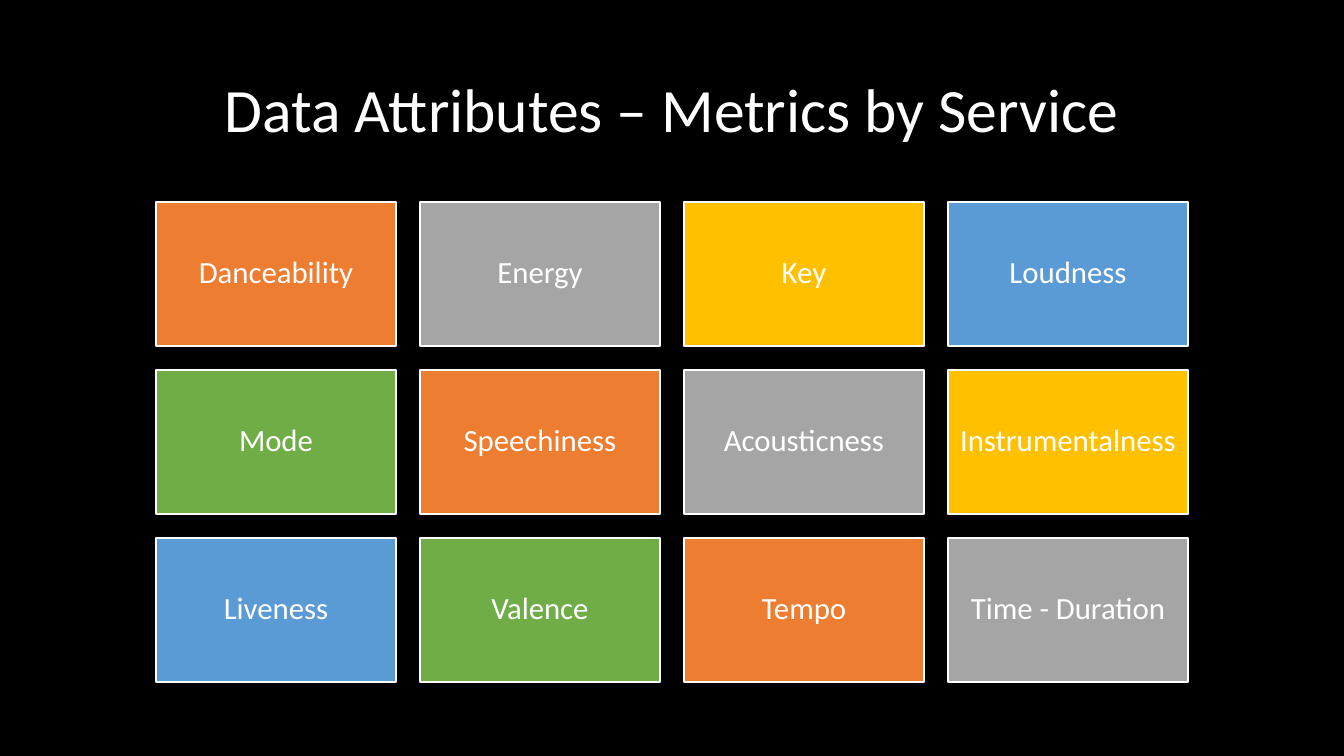
from dataclasses import dataclass

from pptx import Presentation
from pptx.dml.color import RGBColor
from pptx.enum.shapes import MSO_SHAPE
from pptx.enum.text import MSO_ANCHOR as Anchor, PP_ALIGN as Align
from pptx.shapes.autoshape import Shape
from pptx.slide import Slide
from pptx.util import Emu, Pt

EMU_PER_PX = 914400 / 100.8
SLIDE_WIDTH, SLIDE_HEIGHT = 1344, 756
FONT = "Calibri"
BLACK, WHITE = "000000", "FFFFFF"
ORANGE, GRAY, GOLD, BLUE, GREEN = "ED7D31", "A5A5A5", "FFC000", "5B9BD5", "70AD47"

TITLE = "Data Attributes – Metrics by Service"
METRICS = [
    "Danceability", "Energy", "Key", "Loudness",
    "Mode", "Speechiness", "Acousticness", "Instrumentalness",
    "Liveness", "Valence", "Tempo", "Time - Duration",
]
TILE_COLORS = [ORANGE, GRAY, GOLD, BLUE, GREEN]
COLUMNS = 4
GRID_LEFT, GRID_TOP = 156, 202
TILE_WIDTH, TILE_HEIGHT, GAP = 240, 144, 24
TILE_INSET = 9


@dataclass(frozen=True)
class Tile:
    label: str
    color: str
    left: int
    top: int


def px(length: int) -> Emu:
    return Emu(round(length * EMU_PER_PX))


def rgb(color: str) -> RGBColor:
    return RGBColor.from_string(color)


def write_text(shape: Shape, text: str, size: int) -> None:
    frame = shape.text_frame
    frame.word_wrap = True
    frame.vertical_anchor = Anchor.MIDDLE
    paragraph = frame.paragraphs[0]
    paragraph.text = text
    paragraph.alignment = Align.CENTER
    paragraph.line_spacing = 0.9
    paragraph.font.name = FONT
    paragraph.font.size = Pt(size)
    paragraph.font.color.rgb = rgb(WHITE)


def add_title(slide: Slide) -> None:
    box = slide.shapes.add_textbox(px(92), px(40), px(1160), px(146))
    write_text(box, TITLE, 44)


def add_tile(slide: Slide, tile: Tile) -> None:
    shape = slide.shapes.add_shape(
        MSO_SHAPE.RECTANGLE, px(tile.left), px(tile.top), px(TILE_WIDTH), px(TILE_HEIGHT)
    )
    shape.shadow.inherit = False
    shape.fill.solid()
    shape.fill.fore_color.rgb = rgb(tile.color)
    shape.line.color.rgb = rgb(WHITE)
    shape.line.width = Pt(1)
    frame = shape.text_frame
    frame.margin_left = frame.margin_right = px(TILE_INSET)
    frame.margin_top = frame.margin_bottom = px(TILE_INSET)
    write_text(shape, tile.label, 22)


def layout_tiles() -> list[Tile]:
    tiles = []
    for index, label in enumerate(METRICS):
        row, column = divmod(index, COLUMNS)
        tiles.append(Tile(
            label=label,
            color=TILE_COLORS[index % len(TILE_COLORS)],
            left=GRID_LEFT + column * (TILE_WIDTH + GAP),
            top=GRID_TOP + row * (TILE_HEIGHT + GAP),
        ))
    return tiles


def main() -> None:
    presentation = Presentation()
    presentation.slide_width = px(SLIDE_WIDTH)
    presentation.slide_height = px(SLIDE_HEIGHT)
    slide = presentation.slides.add_slide(presentation.slide_layouts[6])
    slide.background.fill.solid()
    slide.background.fill.fore_color.rgb = rgb(BLACK)
    add_title(slide)
    for tile in layout_tiles():
        add_tile(slide, tile)
    presentation.save("out.pptx")


if __name__ == "__main__":
    main()
